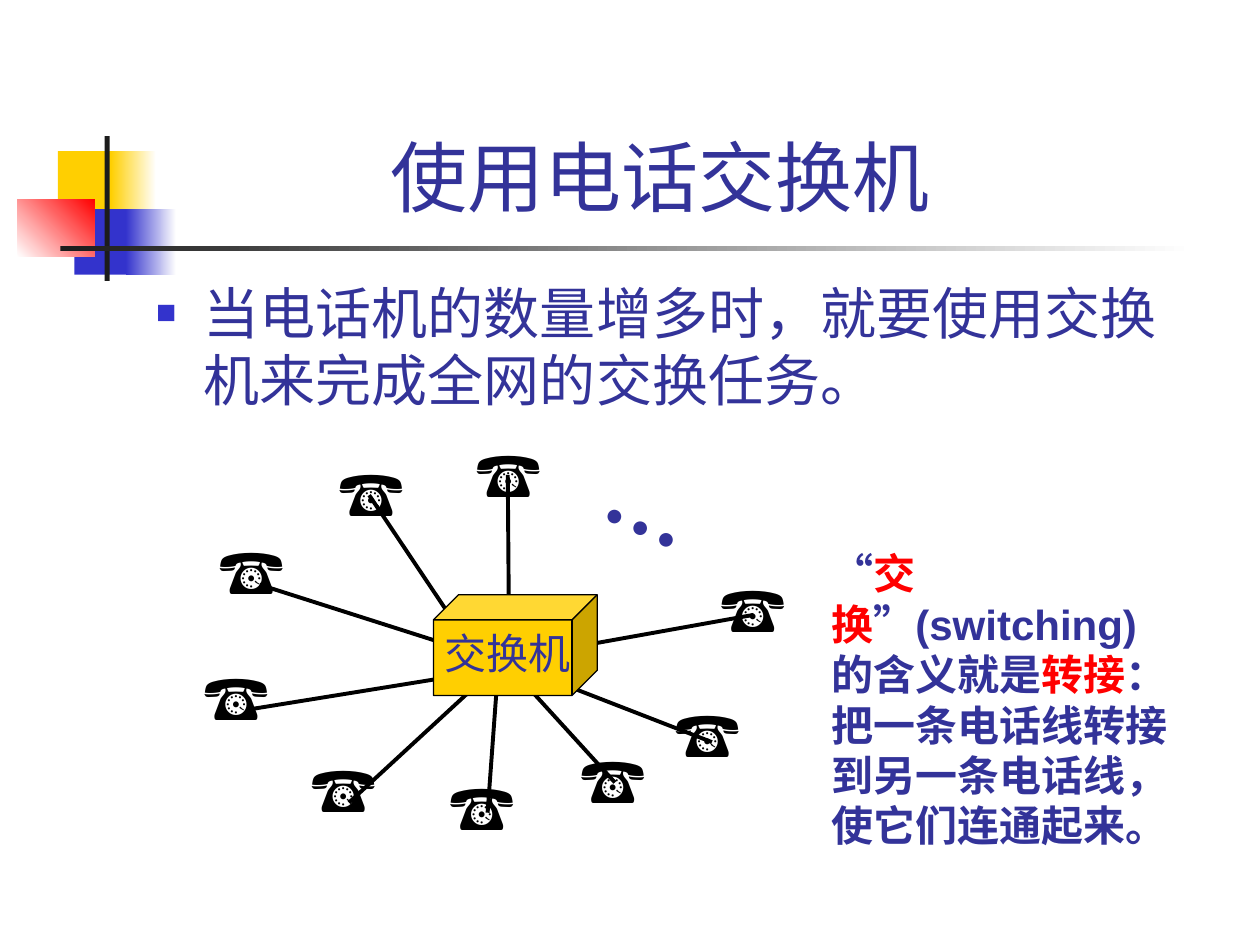
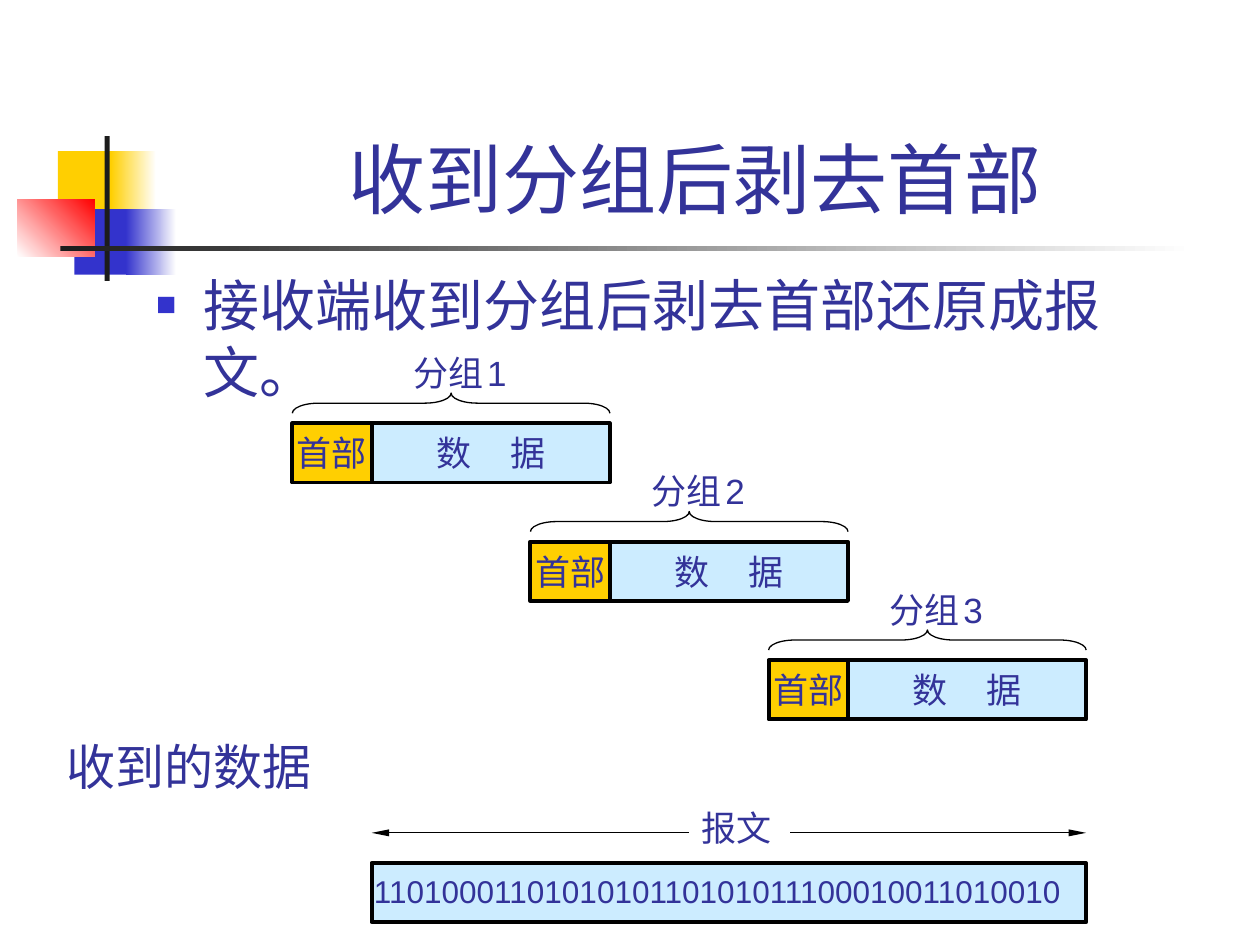
from dataclasses import dataclass

from lxml import etree
from pptx import Presentation
from pptx.dml.color import RGBColor
from pptx.enum.lang import MSO_LANGUAGE_ID as Language
from pptx.enum.shapes import MSO_CONNECTOR as Connector, MSO_SHAPE as Preset
from pptx.enum.text import MSO_ANCHOR as Anchor, MSO_AUTO_SIZE as AutoSize, PP_ALIGN as Align
from pptx.oxml.ns import qn
from pptx.util import Inches, Pt


@dataclass(frozen=True)
class Theme:
    ink: str = "333399"
    bullet: str = "3333CC"
    yellow: str = "FFCF01"
    red: str = "FF0000"
    sky: str = "CCECFF"
    white: str = "FFFFFF"
    black: str = "000000"
    rule: str = "1C1C1C"
    sans: str = "Arial"
    label_font: str = "Lato"
    serif: str = "Times New Roman"
    title_size: int = 44
    body_size: int = 32
    phone_size: int = 36
    dots_size: int = 48
    caption_size: int = 28
    note_size: int = 24
    label_size: int = 20
    bits_size: int = 18
    gap_size: int = 10
    thick: float = 2.25
    thin: float = 0.75


class Deck:
    def __init__(self, theme):
        self.theme = theme
        self.presentation = Presentation()
        self.presentation.slide_width = Inches(10)
        self.presentation.slide_height = Inches(7.5)
        self.slide = None

    def new_slide(self, title, title_at, body, body_at):
        theme = self.theme
        self.slide = self.presentation.slides.add_slide(self.presentation.slide_layouts[6])
        self.draw_emblem()
        title_box = self.text(title_at, title, theme.title_size, wrap=True, grow=False)
        title_box.text_frame.vertical_anchor = Anchor.BOTTOM
        title_box.text_frame.paragraphs[0].alignment = Align.CENTER
        body_box = self.text(body_at, body, theme.body_size, wrap=True, grow=False)
        self.add_bullet(body_box.text_frame.paragraphs[0])

    def draw_emblem(self):
        theme = self.theme
        self.shape((0.46, 1.2, 0.48, 0.52), theme.yellow)
        self.gradient((0.88, 1.2, 0.36, 0.52), theme.yellow, theme.white)
        self.shape((0.59, 1.66, 0.46, 0.52), theme.bullet)
        self.gradient((1, 1.66, 0.4, 0.52), theme.bullet, theme.white)
        self.gradient((0.14, 1.58, 0.61, 0.46), theme.white, theme.red, 45)
        self.shape((0.83, 1.08, 0.04, 1.15), theme.rule)
        self.gradient((0.48, 1.95, 9, 0.04), theme.rule, theme.white)

    def shape(self, at, fill=None, line_width=None, preset=Preset.RECTANGLE):
        shape = self.slide.shapes.add_shape(preset, *map(Inches, at))
        shape.shadow.inherit = False
        if fill:
            shape.fill.solid()
            shape.fill.fore_color.rgb = RGBColor.from_string(fill)
        else:
            shape.fill.background()
        if line_width:
            shape.line.color.rgb = RGBColor.from_string(self.theme.black)
            shape.line.width = Pt(line_width)
        else:
            shape.line.fill.background()
        return shape

    def gradient(self, at, start, end, angle=0):
        shape = self.shape(at)
        shape.fill.gradient()
        shape.fill.gradient_angle = angle
        for stop, color in zip(shape.fill.gradient_stops, (start, end)):
            stop.color.rgb = RGBColor.from_string(color)

    def add_bullet(self, paragraph):
        properties = paragraph._p.get_or_add_pPr()
        properties.set("marL", str(Inches(0.38)))
        properties.set("indent", str(-Inches(0.38)))
        properties.set("hangingPunct", "0")
        color = etree.SubElement(properties, qn("a:buClr"))
        etree.SubElement(color, qn("a:srgbClr"), val=self.theme.bullet)
        etree.SubElement(properties, qn("a:buSzPct"), val="60000")
        etree.SubElement(properties, qn("a:buFont"), typeface=self.theme.sans)
        etree.SubElement(properties, qn("a:buChar"), char="■")

    def format_run(self, run, size, color=None, font=None, bold=False):
        run.font.size = Pt(size)
        run.font.name = font or self.theme.sans
        run.font.color.rgb = RGBColor.from_string(color or self.theme.ink)
        run.font.bold = bold
        run.font.language_id = Language.SIMPLIFIED_CHINESE

    def add_runs(self, paragraph, runs):
        for text, *style in runs:
            run = paragraph.add_run()
            run.text = text
            self.format_run(run, *style)

    def text(self, at, text, size, color=None, font=None, bold=False, wrap=False, grow=True):
        box = self.rich_text(at, [(text, size, color, font, bold)], wrap)
        if not grow:
            box.text_frame.auto_size = AutoSize.NONE
        return box

    def rich_text(self, at, runs, wrap=False):
        box = self.slide.shapes.add_textbox(*map(Inches, at))
        box.text_frame.word_wrap = wrap
        box.text_frame.auto_size = AutoSize.SHAPE_TO_FIT_TEXT
        self.add_runs(box.text_frame.paragraphs[0], runs)
        return box

    def cell(self, at, fill, runs):
        frame = self.shape(at, fill, self.theme.thick).text_frame
        frame.word_wrap = False
        frame.vertical_anchor = Anchor.MIDDLE
        paragraph = frame.paragraphs[0]
        paragraph.alignment = Align.CENTER
        self.add_runs(paragraph, runs)
        return paragraph

    def line(self, start, end, width, arrows=False):
        connector = self.slide.shapes.add_connector(
            Connector.STRAIGHT, *map(Inches, (*start, *end)))
        connector.line.color.rgb = RGBColor.from_string(self.theme.black)
        connector.line.width = Pt(width)
        etree.SubElement(connector._element.spPr, qn("a:effectLst"))
        if arrows:
            outline = connector.line._get_or_add_ln()
            for tag in ("a:headEnd", "a:tailEnd"):
                etree.SubElement(outline, qn(tag), type="triangle", w="sm", len="lg")


def build_switch_slide(deck):
    theme = deck.theme
    deck.new_slide(
        "使用电话交换机", (0.98, 0.21, 8.52, 1.6),
        "当电话机的数量增多时，就要使用交换机来完成全网的交换任务。", (1.14, 2.16, 8.5, 4.5))
    dots = deck.text((4.74, 3.54, 0.86, 0.9), "…", theme.dots_size, font=theme.serif, bold=True)
    dots.rotation = 24.3

    phone_links = [
        ((5.26, 5.46), (5.65, 5.89), (4.26, 5.35)),
        ((3.47, 6.04), (3.87, 6.45), (3.95, 5.35)),
        ((1.52, 5.17), (1.98, 5.63), (3.71, 5.35)),
        ((2.59, 3.55), (2.93, 3.93), (3.6, 4.93)),
        ((3.68, 3.4), (4.03, 3.77), (4.04, 5.04)),
        ((5.62, 4.47), (5.98, 4.88), (4.42, 5.16)),
        ((1.64, 4.17), (2.06, 4.64), (3.66, 5.15)),
        ((2.37, 5.9), (2.77, 6.37), (3.79, 5.43)),
        ((4.51, 5.83), (4.88, 6.21), (3.95, 5.19)),
    ]
    for phone, outer_end, switch_end in phone_links:
        deck.line(outer_end, switch_end, theme.thick)
        deck.text((*phone, 0.85, 0.7), "☎", theme.phone_size, theme.black)

    deck.shape((3.44, 4.72, 1.3, 0.8), theme.yellow, theme.thin, Preset.CUBE)
    deck.text((3.43, 4.93, 1.2, 0.5), "交换机", theme.note_size, font=theme.serif)
    note = [
        ("“", theme.ink),
        ("交换", theme.red),
        ("”(switching)的含义就是", theme.ink),
        ("转接", theme.red),
        ("：把一条电话线转接到另一条电话线，使它们连通起来。", theme.ink),
    ]
    deck.rich_text(
        (6.5, 4.3, 2.91, 2.5),
        [(text, theme.note_size, color, theme.sans, True) for text, color in note], wrap=True)


def draw_packet(deck, number, left, top, header_width, data_width, height):
    theme = deck.theme
    label = (theme.label_size, theme.ink, theme.label_font)
    data = deck.cell(
        (left + header_width, top, data_width, height), theme.sky,
        [("数", *label), (" ", *label), ("据", *label)])
    data.runs[1].font._element.set("spc", "1800")
    deck.cell((left, top, header_width, height), theme.yellow, [("首部", *label)])

    packet_width = header_width + data_width
    center = left + packet_width / 2
    thickness = 0.16
    brace = deck.shape(
        (center - thickness / 2, top - 0.16 - packet_width / 2, thickness, packet_width),
        line_width=theme.thin, preset=Preset.LEFT_BRACE)
    brace.adjustments[0] = 1.31
    brace.rotation = 90
    deck.rich_text((center - 0.4, top - 0.62, 1.01, 0.44), [
        ("分组", *label), (" ", theme.gap_size), (str(number), theme.label_size)])


def build_packet_slide(deck):
    theme = deck.theme
    deck.new_slide(
        "收到分组后剥去首部", (1.26, 0.23, 8.52, 1.6),
        "接收端收到分组后剥去首部还原成报文。", (1.14, 2.1, 8.5, 1.1))
    header_width, data_width, height = 0.63, 1.89, 0.47
    packet_count = 3
    for index in range(packet_count):
        draw_packet(deck, index + 1, 2.32 + index * data_width, 3.36 + index * 0.94,
                    header_width, data_width, height)

    deck.text((0.43, 5.8, 2.2, 0.57), "收到的数据", theme.caption_size,
              font=theme.label_font, wrap=True)
    message_left, message_top = 2.95, 6.85
    message_width = packet_count * data_width
    deck.line((message_left, 6.61), (message_left + message_width, 6.61), theme.thin, arrows=True)
    message_label = deck.text((5.47, 6.35, 0.8, 0.44), "报文", theme.label_size, font=theme.serif)
    message_label.fill.solid()
    message_label.fill.fore_color.rgb = RGBColor.from_string(theme.white)
    for index in range(packet_count):
        deck.shape((message_left + index * data_width, message_top, data_width, height), theme.sky)
    deck.shape((message_left, message_top, message_width, height), line_width=theme.thick)
    deck.text((2.87, 6.87, 5.76, 0.4), "1101000110101010110101011100010011010010", theme.bits_size)


def main():
    deck = Deck(Theme())
    build_switch_slide(deck)
    build_packet_slide(deck)
    deck.presentation.save("out.pptx")


if __name__ == "__main__":
    main()
